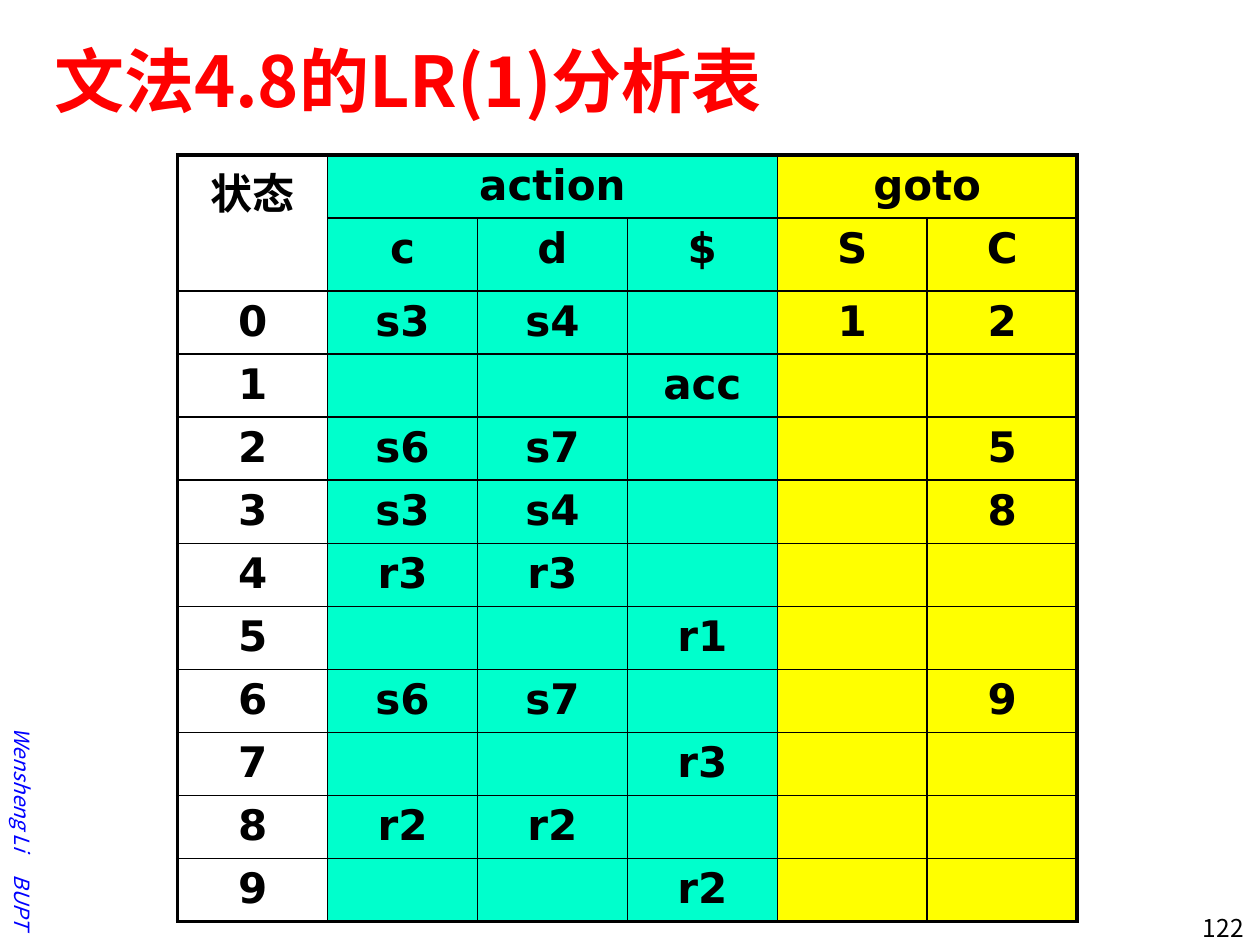
from lxml.etree import SubElement as Sub
from pptx import Presentation
from pptx.dml.color import RGBColor as Rgb
from pptx.enum.text import MSO_ANCHOR as Anchor, MSO_AUTO_SIZE as Fit, PP_ALIGN as Align
from pptx.oxml.ns import qn
from pptx.util import Inches, Pt

TITLE = "文法4.8的LR(1)分析表"
CREDIT = ["Wensheng Li", " ", "BUPT"]
PAGE = ["122"]
ROWS = [
    ["状态", "action", "", "", "goto", ""],
    ["", "c", "d", "$", "S", "C"],
    ["0", "s3", "s4", "", "1", "2"],
    ["1", "", "", "acc", "", ""],
    ["2", "s6", "s7", "", "", "5"],
    ["3", "s3", "s4", "", "", "8"],
    ["4", "r3", "r3", "", "", ""],
    ["5", "", "", "r1", "", ""],
    ["6", "s6", "s7", "", "", "9"],
    ["7", "", "", "r3", "", ""],
    ["8", "r2", "r2", "", "", ""],
    ["9", "", "", "r2", "", ""],
]
SPANS = [(0, 0, 1, 0), (0, 1, 0, 3), (0, 4, 0, 5)]
FILLS = [None] + ["00FFCC"] * 3 + ["FFFF00"] * 2
COL, ROW, HEAD = 1.19, 0.49, 0.58
THIN, THICK = 1, 2.25
CJK = "Noto Sans CJK SC"


def color(text):
    return Rgb.from_string(text)


def style(run, size, tint, face=CJK, bold=False, italic=False):
    font = run.font
    font.size, font.name = Pt(size), face
    font.bold, font.italic = bold, italic
    font.color.rgb = color(tint)
    Sub(run._r.get_or_add_rPr(), qn("a:ea"), typeface=CJK)


def place(shape, left, top, width, height):
    shape.left, shape.top = Inches(left), Inches(top)
    shape.width, shape.height = Inches(width), Inches(height)


def label(slide, parts, box, size, tint, italic=False):
    shape = slide.shapes.add_textbox(*map(Inches, box))
    frame = shape.text_frame
    frame.word_wrap = True
    para = frame.paragraphs[0]
    para.alignment = Align.RIGHT
    for part in parts:
        run = para.add_run()
        run.text = part
        style(run, size, tint, italic=italic)
    return shape


def border(cell, edges):
    props = cell._tc.get_or_add_tcPr()
    for side, width in zip("LRTB", edges):
        line = Sub(props, qn("a:ln" + side), w=str(Pt(width)))
        fill = Sub(line, qn("a:solidFill"))
        Sub(fill, qn("a:srgbClr"), val="000000")


def grid(slide):
    high, wide = len(ROWS), len(FILLS)
    total = HEAD + ROW * (high - 1)
    box = map(Inches, (1.41, 1.23, COL * wide, total))
    table = slide.shapes.add_table(high, wide, *box).table
    table.first_row = table.horz_banding = False
    for col in table.columns:
        col.width = Inches(COL)
    for r, row in enumerate(table.rows):
        row.height = Inches(HEAD if r == 1 else ROW)
    ends = {(r, c): (low, last) for r, c, low, last in SPANS}
    for (r, c), end in ends.items():
        table.cell(r, c).merge(table.cell(*end))
    for r, words in enumerate(ROWS):
        for c, word in enumerate(words):
            cell = table.cell(r, c)
            low, last = ends.get((r, c), (r, c))
            outer = (c == 0, last == wide - 1, r == 0, low == high - 1)
            border(cell, [THICK if out else THIN for out in outer])
            if FILLS[c]:
                cell.fill.solid()
                cell.fill.fore_color.rgb = color(FILLS[c])
            else:
                cell.fill.background()
            if word:
                para = cell.text_frame.paragraphs[0]
                para.text = word
                para.alignment = Align.CENTER
                style(para.runs[0], 24, "000000", "DejaVu Sans", bold=True)


def main():
    deck = Presentation()
    deck.slide_width, deck.slide_height = Inches(10), Inches(7.5)
    slide = deck.slides.add_slide(deck.slide_layouts[5])

    side = label(slide, CREDIT, (-1.14, 6, 2.64, 0.3), 12, "0000FF", italic=True)
    side.rotation = 90
    side.text_frame.vertical_anchor = Anchor.MIDDLE
    gap = side.text_frame.paragraphs[0].runs[1]
    gap._r.get_or_add_rPr().set("spc", "1070")
    label(slide, PAGE, (8.99, 7.2, 0.98, 0.3), 14, "000000")

    title = slide.shapes.title
    place(title, 0.33, 0.17, 9.42, 0.92)
    frame = title.text_frame
    frame.text = TITLE
    frame.auto_size = Fit.NONE
    frame.vertical_anchor = Anchor.MIDDLE
    frame.paragraphs[0].alignment = Align.LEFT
    style(frame.paragraphs[0].runs[0], 40, "FF0000", bold=True)

    grid(slide)
    deck.save("out.pptx")


if __name__ == "__main__":
    main()
